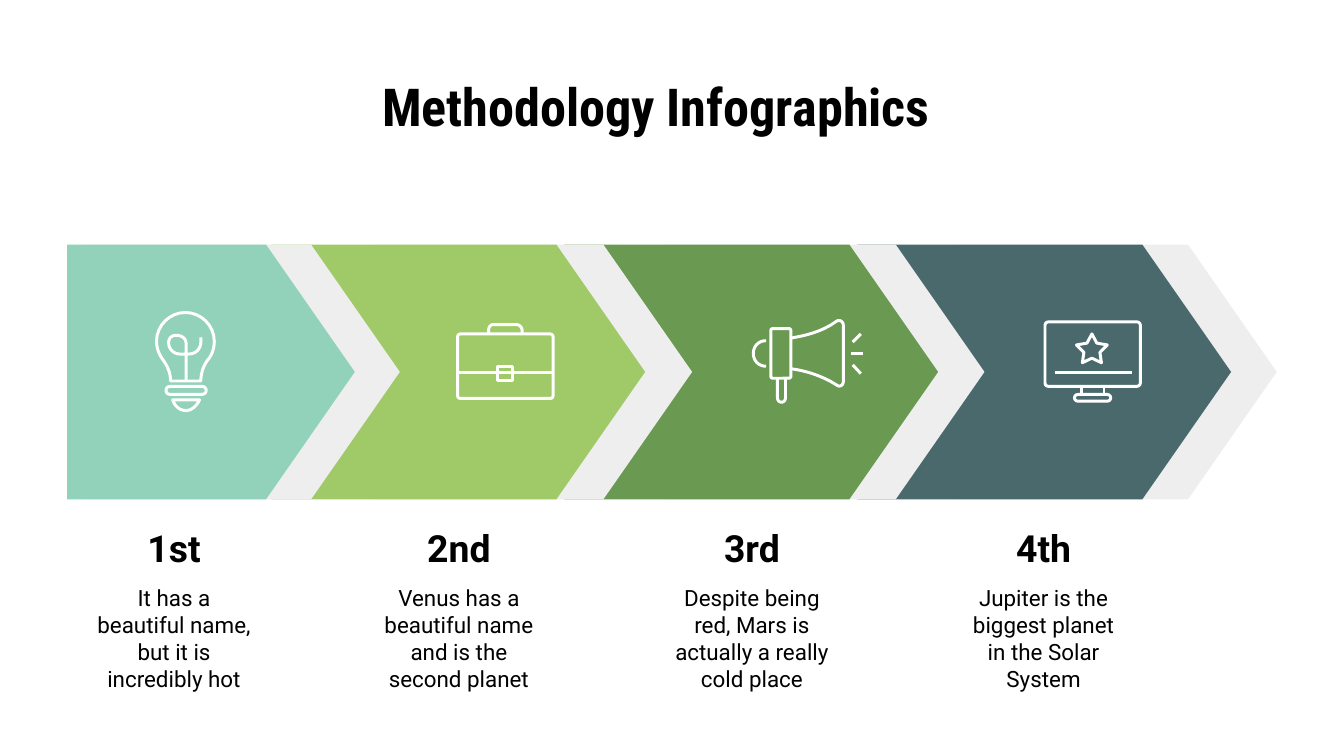
from pptx import Presentation
from pptx import util as u
from pptx.dml.color import RGBColor
from pptx.enum import shapes, text
from pptx.oxml.ns import qn
from lxml import etree

PX = 4572  # EMU: 200 px to the inch

BLACK = RGBColor(0x00, 0x00, 0x00)
WHITE = RGBColor(0xFF, 0xFF, 0xFF)
GRAY = RGBColor(0xEE, 0xEE, 0xEE)
MINT = RGBColor(0x93, 0xD2, 0xBA)
LIME = RGBColor(0xA0, 0xCA, 0x68)
GREEN = RGBColor(0x6A, 0x99, 0x51)
TEAL = RGBColor(0x4A, 0x69, 0x6C)

ICON_STROKE = u.Pt(1.6)
CURVE_STEPS = 8
ARROW_TOP, ARROW_HEIGHT, ARROW_TIP = 364, 379, 132
LABEL_WIDTH = 282

# Heading, description, label left, arrow left, arrow width, colour
STEPS = [
    ("1st", "It has a beautiful name, but it is incredibly hot", 118, 100, 428, MINT),
    ("2nd", "Venus has a beautiful name and is the second planet", 542, 404, 556, LIME),
    ("3rd", "Despite being red, Mars is actually a really cold place", 978, 840, 556, GREEN),
    ("4th", "Jupiter is the biggest planet in the Solar System", 1412, 1276, 556, TEAL),
]


def px(*lengths):
    return [u.Emu(round(length * PX)) for length in lengths]


def add_label(slide, box, words, size, font_name="Roboto", bold=False,
              anchor=text.MSO_ANCHOR.MIDDLE):
    frame = slide.shapes.add_textbox(*px(*box)).text_frame
    frame.word_wrap = True
    frame.vertical_anchor = anchor
    frame.margin_left = frame.margin_right = u.Inches(0.1)
    frame.margin_top = frame.margin_bottom = u.Inches(0.1)
    frame.text = words
    paragraph = frame.paragraphs[0]
    paragraph.alignment = text.PP_ALIGN.CENTER
    font = paragraph.runs[0].font
    font.name, font.size, font.bold = font_name, u.Pt(size), bold
    font.color.rgb = BLACK


def add_arrow(slide, left, width, color):
    arrow = slide.shapes.add_shape(shapes.MSO_SHAPE.PENTAGON,
                                   *px(left, ARROW_TOP, width, ARROW_HEIGHT))
    arrow.adjustments[0] = ARROW_TIP / ARROW_HEIGHT
    arrow.shadow.inherit = False
    arrow.fill.solid()
    arrow.fill.fore_color.rgb = color
    arrow.line.fill.background()


def stroke_white(part):
    part.line.color.rgb = WHITE
    part.line.width = ICON_STROKE


def add_outline(icon, kind, box, adjustment=None):
    """Draw a preset shape as a white line without fill."""
    part = icon.shapes.add_shape(kind, *px(*box))
    if adjustment is not None:
        part.adjustments[0] = adjustment
    part.shadow.inherit = False
    part.fill.background()
    stroke_white(part)


def add_round_box(icon, box, radius):
    add_outline(icon, shapes.MSO_SHAPE.ROUNDED_RECTANGLE, box,
                radius / min(box[2:]))


def add_stroke(icon, x1, y1, x2, y2):
    stroke = icon.shapes.add_connector(shapes.MSO_CONNECTOR.STRAIGHT,
                                       *px(x1, y1, x2, y2))
    stroke_white(stroke)
    etree.SubElement(stroke._element.spPr, qn("a:effectLst"))


def curve_points(start, control1, control2, end):
    """Return points along a cubic Bezier curve, without its start."""
    points = []
    for step in range(1, CURVE_STEPS + 1):
        t = step / CURVE_STEPS
        weights = ((1 - t) ** 3, 3 * t * (1 - t) ** 2, 3 * t * t * (1 - t), t ** 3)
        corners = (start, control1, control2, end)
        points.append(tuple(sum(w * corner[axis] for w, corner in zip(weights, corners))
                            for axis in (0, 1)))
    return points


def add_path(icon, start, *segments, closed=False):
    """Draw a white line; a pair is a straight step, six numbers a curve."""
    points = [start]
    for segment in segments:
        if len(segment) == 2:
            points.append(segment)
        else:
            points += curve_points(points[-1], segment[:2], segment[2:4], segment[4:])
    builder = icon.shapes.build_freeform(*px(*start))
    builder.add_line_segments([px(*point) for point in points[1:]], close=closed)
    path = builder.convert_to_shape()
    path.shadow.inherit = False
    path.fill.background()
    stroke_white(path)


def draw_bulb(icon):
    add_path(icon, (254, 567), (254, 555, 249, 544, 243, 536),
             (237, 528, 233, 518, 233, 508), (233, 484, 253, 465, 276, 465),
             (299, 465, 319, 484, 319, 508), (319, 518, 316, 528, 309, 536),
             (303, 544, 299, 555, 299, 567), closed=True)
    add_path(icon, (277, 566), (277, 511), (277, 504, 271, 499, 262, 499),
             (256, 499, 251, 503, 251, 510), (251, 520, 259, 527, 268, 527),
             (280, 527), (291, 527, 299, 520, 299, 508), (299, 502))
    add_round_box(icon, (247, 575, 60, 12), 6)
    add_path(icon, (257, 595), (297, 595), (293, 604, 285, 611, 277, 611),
             (267, 611, 260, 604, 257, 595), closed=True)


def draw_briefcase(icon):
    add_round_box(icon, (681, 497, 142, 96), 4)
    add_stroke(icon, 681, 555, 823, 555)
    add_outline(icon, shapes.MSO_SHAPE.RECTANGLE, (741, 545, 22, 22))
    add_path(icon, (727, 496), (727, 492), (727, 487, 730, 483, 734, 483),
             (768, 483), (773, 483, 777, 487, 777, 492), (777, 496))


def draw_megaphone(icon):
    add_round_box(icon, (1147, 489, 30, 74), 3)
    add_path(icon, (1178, 503), (1195, 500, 1222, 495, 1245, 478),
             (1250, 475, 1255, 479, 1255, 484), (1255, 568),
             (1255, 573, 1250, 577, 1245, 573), (1222, 558, 1195, 551, 1178, 549))
    add_path(icon, (1157, 563), (1157, 592), (1157, 601, 1169, 601, 1169, 592),
             (1169, 563))
    add_path(icon, (1140, 507), (1129, 507, 1121, 515, 1121, 526),
             (1121, 537, 1129, 545, 1140, 545))
    for ray in ((1266, 526, 1284, 526), (1269, 509, 1281, 497), (1269, 543, 1281, 556)):
        add_stroke(icon, *ray)


def draw_monitor(icon):
    add_round_box(icon, (1555, 479, 142, 96), 5)
    add_stroke(icon, 1570, 554, 1684, 554)
    add_outline(icon, shapes.MSO_SHAPE.RECTANGLE, (1609, 575, 34, 12))
    add_round_box(icon, (1599, 587, 54, 10), 5)
    add_outline(icon, shapes.MSO_SHAPE.STAR_5_POINT, (1602, 497, 46, 43), 0.26)


def main():
    deck = Presentation()
    deck.slide_width, deck.slide_height = px(2000, 1125)
    slide = deck.slides.add_slide(deck.slide_layouts[6])

    add_label(slide, (100, 90, 1752, 104), "Methodology Infographics", 28,
              "Roboto Condensed", True, text.MSO_ANCHOR.TOP)

    # Each arrow overlaps the one after it, so the last goes in first
    for index, (*_, left, width, color) in reversed(list(enumerate(STEPS))):
        add_arrow(slide, 121 + 435 * index, 474, GRAY)
        add_arrow(slide, left, width, color)

    for draw_icon in (draw_bulb, draw_briefcase, draw_megaphone, draw_monitor):
        draw_icon(slide.shapes.add_group_shape())

    for heading, description, left, *_ in STEPS:
        add_label(slide, (left, 774, LABEL_WIDTH, 82), heading, 20, bold=True)
        add_label(slide, (left, 860, LABEL_WIDTH, 180), description, 12)

    deck.save("out.pptx")


if __name__ == "__main__":
    main()
